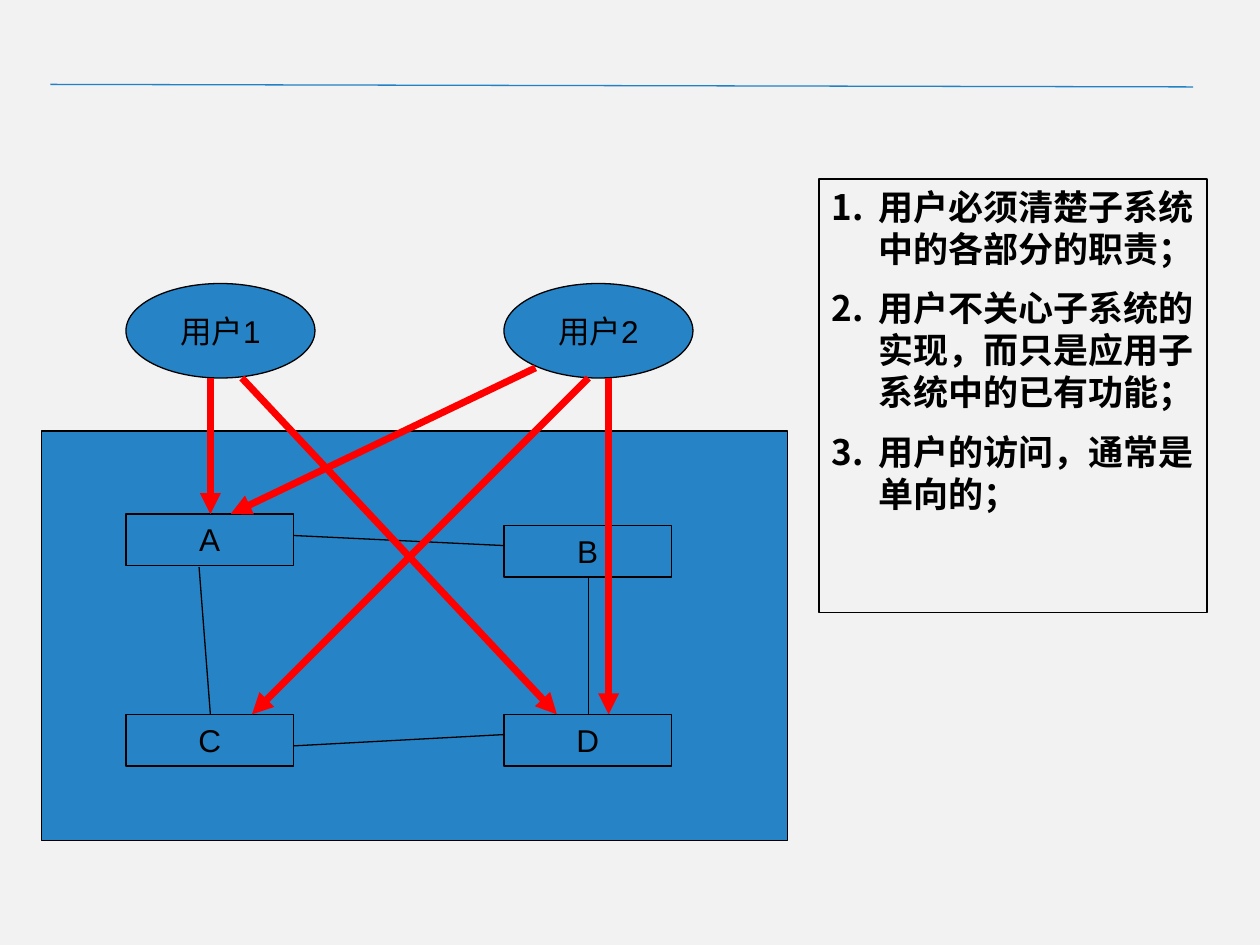
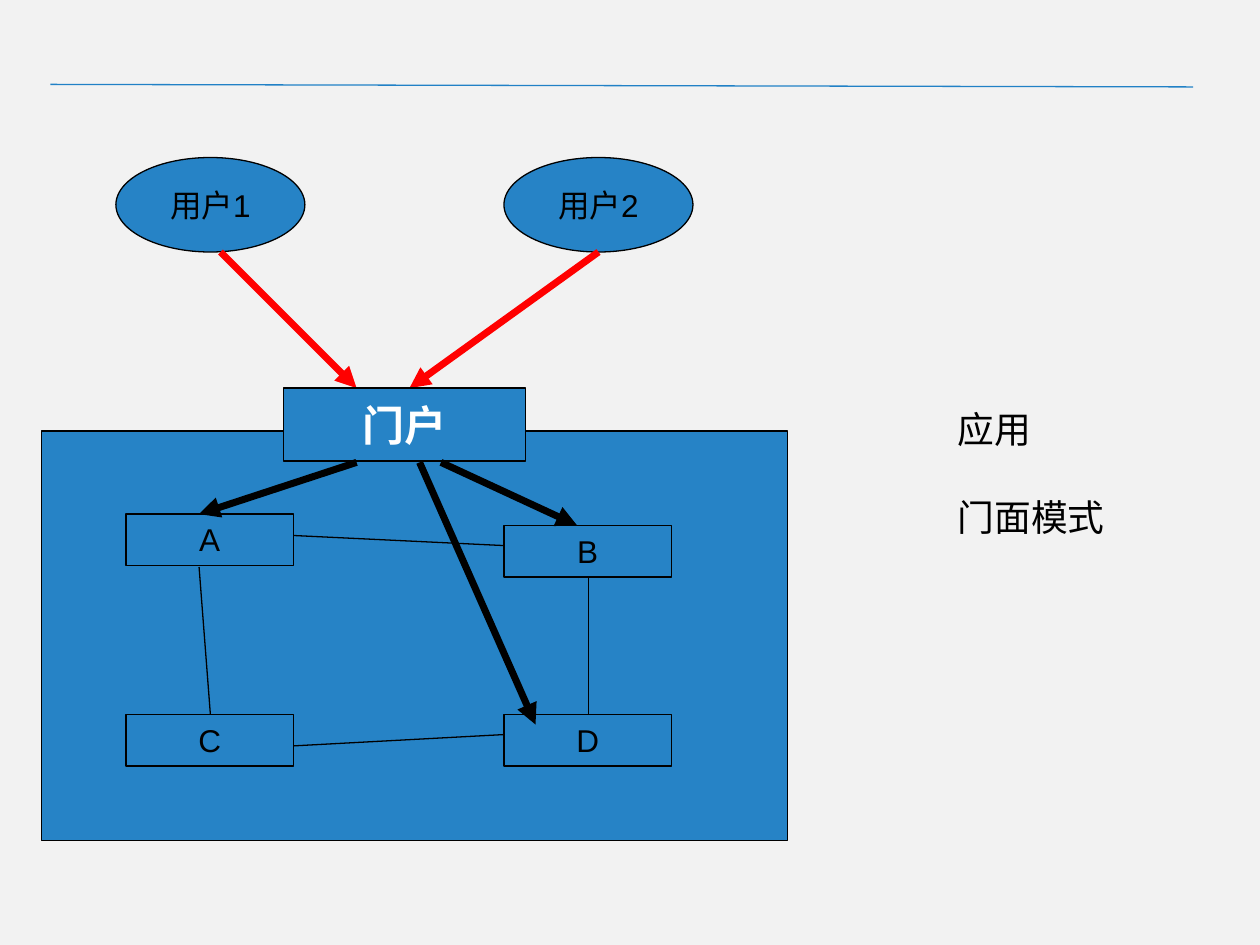
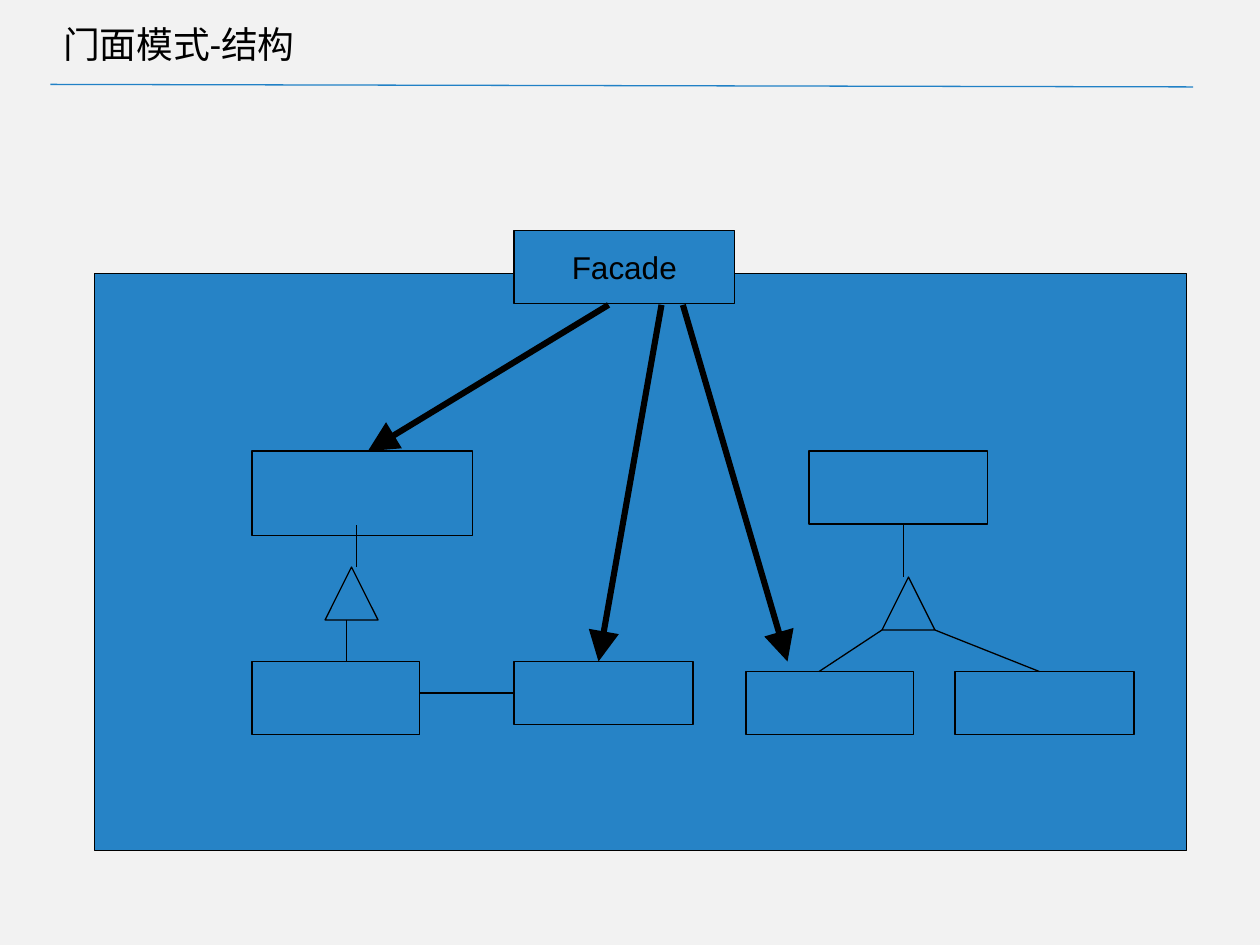
from lxml import etree
from pptx import Presentation
from pptx import util as u
from pptx.dml.color import RGBColor
from pptx.enum import lang, shapes, text
from pptx.oxml import ns

BLACK = RGBColor(0x00, 0x00, 0x00)
WHITE = RGBColor(0xFF, 0xFF, 0xFF)
RED = RGBColor(0xFF, 0x00, 0x00)
BLUE = RGBColor(0x26, 0x83, 0xC6)
RULE_BLUE = RGBColor(0x21, 0x81, 0xC6)
PAPER = RGBColor(0xF2, 0xF2, 0xF2)

RECT = shapes.MSO_SHAPE.RECTANGLE
OVAL = shapes.MSO_SHAPE.OVAL
TRIANGLE = shapes.MSO_SHAPE.ISOSCELES_TRIANGLE
LEFT, CENTER = text.PP_ALIGN.LEFT, text.PP_ALIGN.CENTER
TOP, MIDDLE = text.MSO_ANCHOR.TOP, text.MSO_ANCHOR.MIDDLE

THIN = 0.75
CHINESE = lang.MSO_LANGUAGE_ID.SIMPLIFIED_CHINESE
LABEL = {"name": "Arial", "size": u.Pt(18), "language_id": CHINESE}
PORTAL = {**LABEL, "size": u.Pt(24), "bold": True}
NOTE = {**LABEL, "size": u.Pt(20), "bold": True}
TITLE = {**LABEL, "name": "Calibri", "size": u.Pt(21)}

NODES = {"C": (1, 5.67), "B": (4, 4.17), "D": (4, 5.67), "A": (1, 4.08)}
NODE_LINKS = [(2.33, 4.25, 4, 4.33), (1.58, 4.5, 1.67, 5.67),
              (2.33, 5.92, 4, 5.83), (4.67, 5.67, 4.67, 4.58)]
NOTES = ["用户必须清楚子系统中的各部分的职责；",
         "用户不关心子系统的实现，而只是应用子系统中的已有功能；",
         "用户的访问，通常是单向的；"]


def set_attributes(target, values):
    """Set each named attribute of the target."""
    for name, value in values.items():
        setattr(target, name, value)


def add_child(parent, tag, **attributes):
    """Append a drawing element to the parent."""
    return etree.SubElement(parent, ns.qn(tag), attributes)


def number_paragraph(para):
    """Give a paragraph a hanging automatic number."""
    props = para._p.get_or_add_pPr()
    hang = u.Inches(0.37)
    props.set("marL", str(hang))
    props.set("indent", str(-hang))
    add_child(props, "a:buFont", typeface="+mj-lt")
    add_child(props, "a:buAutoNum", type="arabicPeriod")


def write_text(box, lines, style, color=BLACK, align=CENTER, anchor=MIDDLE,
               wrap=False, gap=0, numbered=False):
    """Write one paragraph per line into a shape."""
    frame = box.text_frame
    set_attributes(frame, {"word_wrap": wrap, "vertical_anchor": anchor,
                           "auto_size": text.MSO_AUTO_SIZE.NONE})
    for index, line in enumerate(lines):
        para = frame.add_paragraph() if index else frame.paragraphs[0]
        para.alignment = align
        para.space_before = u.Pt(gap if index else 0)
        if numbered:
            number_paragraph(para)
        span = para.add_run()
        span.text = line
        set_attributes(span.font, style)
        span.font.color.rgb = color


def add_box(page, kind, left, top, width, height, fill=BLUE):
    """Add a thinly outlined shape, filled unless fill is None."""
    box = page.shapes.add_shape(kind, *map(u.Inches, (left, top, width, height)))
    box.shadow.inherit = False
    if fill is None:
        box.fill.background()
    else:
        box.fill.solid()
        box.fill.fore_color.rgb = fill
    box.line.color.rgb = BLACK
    box.line.width = u.Pt(THIN)
    return box


def add_line(page, ends, color=BLACK, width=THIN, head=None):
    """Add a straight line, with an arrowhead of the given size if any."""
    line = page.shapes.add_connector(shapes.MSO_CONNECTOR.STRAIGHT,
                                     *map(u.Inches, ends))
    line.line.color.rgb = color
    line.line.width = u.Pt(width)
    if head:
        add_child(line.line._get_or_add_ln(), "a:tailEnd",
                  type="triangle", w=head, len=head)
    add_child(line._element.spPr, "a:effectLst")
    return line


def add_arrows(page, routes, color=BLACK, width=4, head="med"):
    """Add a thick arrow along each route."""
    for ends in routes:
        add_line(page, ends, color, width, head)


def add_title(page, place, lines, gap=0):
    """Place and fill the title placeholder."""
    title = page.shapes.title
    names = ("left", "top", "width", "height")
    set_attributes(title, dict(zip(names, map(u.Inches, place))))
    write_text(title, lines, TITLE, align=LEFT, wrap=True, gap=gap)


def add_subsystem(page):
    """Draw the subsystem panel with its four linked nodes."""
    add_box(page, RECT, 0.33, 3.42, 5.92, 3.25)
    for name, (left, top) in NODES.items():
        node = add_box(page, RECT, left, top, 1.33, 0.41, fill=None)
        write_text(node, [name], LABEL, anchor=TOP, wrap=True)
    for ends in NODE_LINKS:
        add_line(page, ends)


def add_users(page, lefts, top):
    """Draw the numbered user ellipses."""
    for number, left in enumerate(lefts, 1):
        user = add_box(page, OVAL, left, top, 1.5, 0.75)
        write_text(user, [f"用户{number}"], LABEL)


def build_direct_access(page):
    """Show users reaching into the subsystem directly."""
    add_subsystem(page)
    add_users(page, (1, 4), 2.25)
    add_arrows(page, [(1.67, 3, 1.67, 4.08), (1.92, 3, 4.42, 5.67),
                      (4.67, 3, 2, 5.67), (4.83, 3, 4.83, 5.67),
                      (4.25, 2.92, 1.83, 4.08)], RED)
    notes = add_box(page, RECT, 6.5, 1.42, 3.08, 3.44, fill=None)
    write_text(notes, NOTES, NOTE, align=LEFT, anchor=TOP, wrap=True,
               gap=10, numbered=True)


def build_portal_access(page):
    """Show users going through a portal."""
    add_title(page, (7.5, 0.67, 2.17, 6.17), ["应用", "门面模式"], gap=25)
    add_subsystem(page)
    add_users(page, (0.92, 4), 1.25)
    add_arrows(page, [(1.75, 2, 2.83, 3.08), (4.75, 2, 3.25, 3.08)], RED)
    portal = add_box(page, RECT, 2.25, 3.08, 1.92, 0.58)
    write_text(portal, ["门户"], PORTAL, color=WHITE)
    add_arrows(page, [(2.83, 3.67, 1.58, 4.08), (3.5, 3.67, 4.58, 4.17),
                      (3.33, 3.67, 4.25, 5.75)])


def build_structure(page):
    """Show the class structure behind the facade."""
    add_title(page, (0.4, 0.08, 8.62, 0.53), ["门面模式-结构"])
    add_box(page, RECT, 0.75, 2.17, 8.67, 4.58)
    for place in [(2, 3.58, 1.75, 0.67), (6.42, 3.58, 1.42, 0.58),
                  (5.92, 5.33, 1.33, 0.5), (7.58, 5.33, 1.42, 0.5),
                  (4.08, 5.25, 1.42, 0.5), (2, 5.25, 1.33, 0.58)]:
        add_box(page, RECT, *place)
    facade = add_box(page, RECT, 4.08, 1.83, 1.75, 0.58)
    write_text(facade, ["Facade"], LABEL)
    for left, top in [(7, 4.58), (2.58, 4.5)]:
        add_box(page, TRIANGLE, left, top, 0.42, 0.42)
    for ends in [(7.17, 4.58, 7.17, 4.17), (7, 5, 6.5, 5.33),
                 (7.42, 5, 8.25, 5.33), (2.83, 4.5, 2.83, 4.17),
                 (2.75, 4.92, 2.75, 5.25), (4.08, 5.5, 3.33, 5.5)]:
        add_line(page, ends)
    add_arrows(page, [(4.83, 2.42, 2.92, 3.58), (5.42, 2.42, 6.25, 5.25),
                      (5.25, 2.42, 4.75, 5.25)], width=3.5, head="lg")


def style_master(deck, page):
    """Give the master its background and header rule."""
    master = deck.slide_master
    master.background.fill.solid()
    master.background.fill.fore_color.rgb = PAPER
    rule = add_line(page, (0.4, 0.67, 9.47, 0.69), RULE_BLUE)
    master.shapes.element.append(rule._element)


def main():
    """Build and save the deck."""
    deck = Presentation()
    deck.slide_width, deck.slide_height = u.Inches(10), u.Inches(7.5)
    title_only, blank = deck.slide_layouts[5], deck.slide_layouts[6]
    pages = [deck.slides.add_slide(layout)
             for layout in (blank, title_only, title_only)]
    style_master(deck, pages[0])
    build_direct_access(pages[0])
    build_portal_access(pages[1])
    build_structure(pages[2])
    deck.save("out.pptx")


if __name__ == "__main__":
    main()
